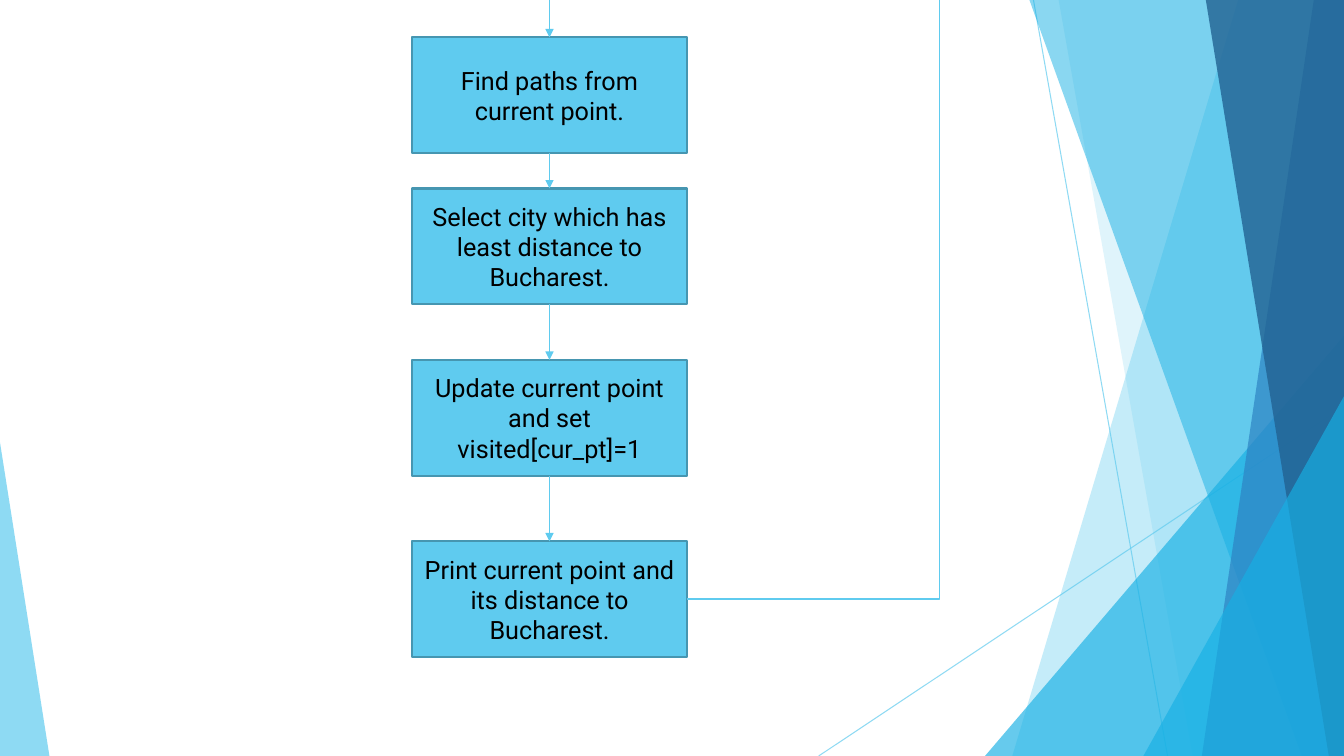
from lxml import etree
from pptx import Presentation
from pptx.dml.color import RGBColor
from pptx.enum import shapes, text
from pptx.oxml.ns import qn
from pptx.util import Inches, Pt

WIDTH, HEIGHT = 13.33, 7.5
COLORS = {
    "sky": "5FCBEF",
    "cyan": "17B0E4",
    "blue": "2E83C3",
    "navy": "226292",
    "border": "4696B1",
    "text": "000000",
}
BOX_LEFT, BOX_WIDTH, BOX_HEIGHT = 4.09, 2.72, 1.15
LOOP_X = 9.32
STEPS = [
    (0.37, "Find paths from current point."),
    (1.87, "Select city which has least distance to Bucharest."),
    (3.57, "Update current point and set visited[cur_pt]=1"),
    (5.37, "Print current point and its distance to Bucharest."),
]


def paint(fill, color, opacity=100):
    fill.solid()
    fill.fore_color.rgb = RGBColor.from_string(COLORS[color])
    if opacity < 100:
        color_node = fill._xPr.find(".//" + qn("a:srgbClr"))
        etree.SubElement(color_node, qn("a:alpha"), val=str(opacity * 1000))


def finish_facet(shape, color, opacity):
    shape.shadow.inherit = False
    shape.line.fill.background()
    paint(shape.fill, color, opacity)


def add_band(page, top_x, bottom_x, color, opacity):
    corners = [(WIDTH, 0), (WIDTH, HEIGHT), (bottom_x, HEIGHT)]
    builder = page.shapes.build_freeform(Inches(top_x), 0)
    builder.add_line_segments([(Inches(x), Inches(y)) for x, y in corners])
    finish_facet(builder.convert_to_shape(), color, opacity)


def add_triangle(page, left, top, width, apex, color, opacity):
    triangle = page.shapes.add_shape(
        shapes.MSO_SHAPE.ISOSCELES_TRIANGLE,
        Inches(left), Inches(top), Inches(width), Inches(HEIGHT - top))
    triangle.adjustments[0] = apex
    finish_facet(triangle, color, opacity)


def add_line(page, start, end, weight, opacity=100, kind="STRAIGHT"):
    line = page.shapes.add_connector(
        shapes.MSO_CONNECTOR[kind], *[Inches(value) for value in start + end])
    line.line.width = Pt(weight)
    paint(line.line.fill, "sky", opacity)
    etree.SubElement(line._element.spPr, qn("a:effectLst"))
    return line


def add_arrow(page, start, end):
    arrow = add_line(page, start, end, 1)
    etree.SubElement(arrow.line._get_or_add_ln(), qn("a:tailEnd"), type="triangle")
    return arrow


def add_step(page, top, wording):
    box = page.shapes.add_shape(
        shapes.MSO_SHAPE.FLOWCHART_PROCESS,
        Inches(BOX_LEFT), Inches(top), Inches(BOX_WIDTH), Inches(BOX_HEIGHT))
    box.shadow.inherit = False
    paint(box.fill, "sky")
    paint(box.line.fill, "border")
    box.line.width = Pt(1.5)
    frame = box.text_frame
    frame.word_wrap = True
    frame.vertical_anchor = text.MSO_ANCHOR.MIDDLE
    para = frame.paragraphs[0]
    para.alignment = text.PP_ALIGN.CENTER
    span = para.add_run()
    span.text = wording
    span.font.name = "Roboto"
    span.font.size = Pt(18)
    span.font.color.rgb = RGBColor.from_string(COLORS["text"])
    return box


def add_backdrop(page):
    add_line(page, (10.25, 0), (11.58, HEIGHT), 0.75, 70)
    add_line(page, (WIDTH, 4.03), (8.12, HEIGHT), 0.75, 70)
    add_band(page, 12.28, 10.04, "sky", 36)
    add_band(page, 10.5, 11.83, "sky", 20)
    add_triangle(page, 9.77, 3.33, 3.56, 1, "cyan", 66)
    add_band(page, 10.21, 12.91, "cyan", 50)
    add_band(page, 13.03, 11.92, "blue", 70)
    add_band(page, 11.96, 13.18, "navy", 80)
    add_triangle(page, 11.34, 3.93, 1.99, 1, "cyan", 66)
    add_triangle(page, 0, 4.39, 0.49, 0, "sky", 70)


def add_flow(page):
    boxes = [add_step(page, top, wording) for top, wording in STEPS]
    center = BOX_LEFT + BOX_WIDTH / 2
    add_arrow(page, (center, 0), (center, STEPS[0][0])).end_connect(boxes[0], 0)
    for index in range(1, len(boxes)):
        start = STEPS[index - 1][0] + BOX_HEIGHT
        arrow = add_arrow(page, (center, start), (center, STEPS[index][0]))
        arrow.begin_connect(boxes[index - 1], 2)
        arrow.end_connect(boxes[index], 0)
    loop_start = (BOX_LEFT + BOX_WIDTH, STEPS[-1][0] + BOX_HEIGHT / 2)
    loop = add_line(page, loop_start, (LOOP_X, 0), 1, kind="ELBOW")
    loop._element.spPr.find(qn("a:prstGeom")).set("prst", "bentConnector2")
    loop.begin_connect(boxes[-1], 3)


def main():
    deck = Presentation()
    deck.slide_width, deck.slide_height = Inches(WIDTH), Inches(HEIGHT)
    page = deck.slides.add_slide(deck.slide_layouts[6])
    add_backdrop(page)
    add_flow(page)
    deck.save("out.pptx")


main()
